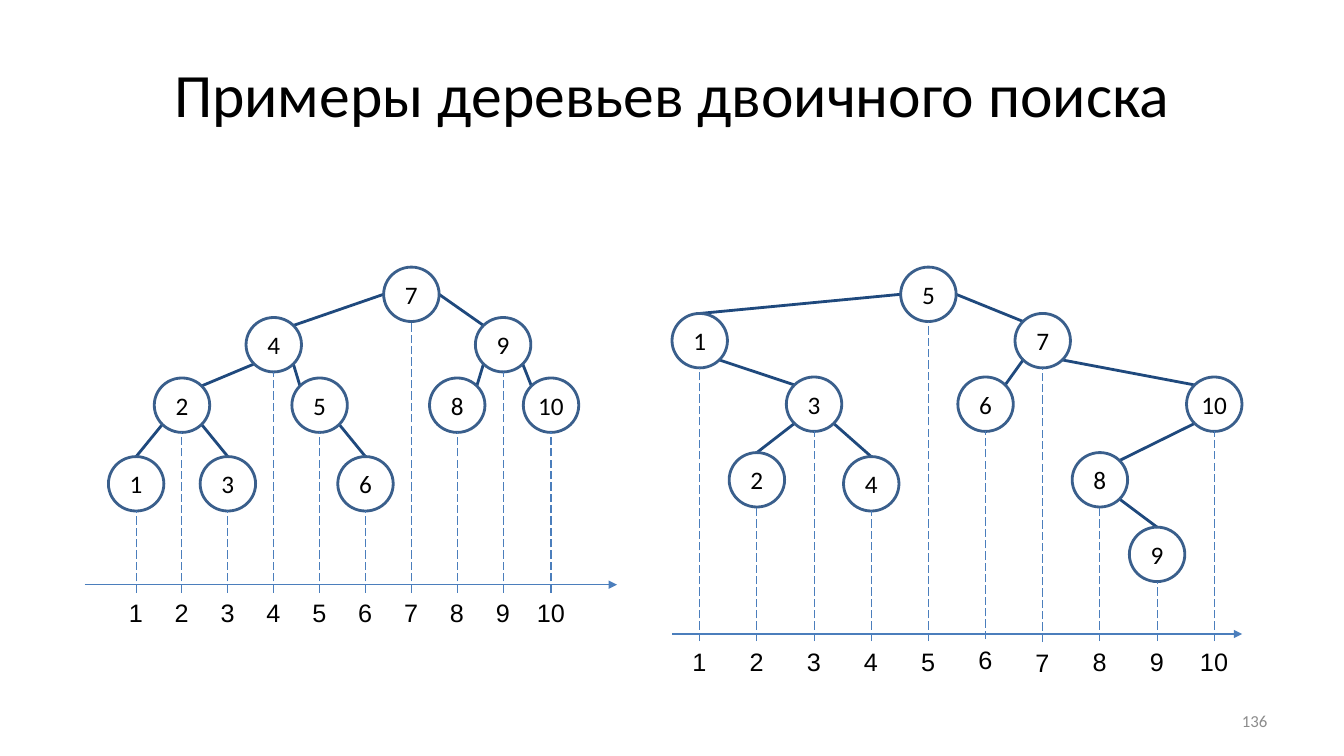
"""Build a slide with two binary search trees projected onto number axes."""
from dataclasses import dataclass
from typing import Optional

import lxml.etree
import pptx
import pptx.dml.color
import pptx.enum.dml
import pptx.enum.shapes
import pptx.enum.text
import pptx.oxml.ns
import pptx.util

Inches = pptx.util.Inches
Pt = pptx.util.Pt
RGB = pptx.dml.color.RGBColor
PP = pptx.enum.text.PP_ALIGN
ANCHOR = pptx.enum.text.MSO_ANCHOR
qn = pptx.oxml.ns.qn

BLACK = RGB(0x00, 0x00, 0x00)
GRAY = RGB(0x8C, 0x8C, 0x8C)
EDGE = RGB(0x1F, 0x49, 0x7D)
RING = RGB(0x3A, 0x5F, 0x8C)
AXIS = RGB(0x4B, 0x7E, 0xBC)
NODE_W, NODE_H = 0.55, 0.54
DIAGONAL = 0.5 ** 0.5


@dataclass
class Node:
    key: int
    top: float
    parent: Optional[int] = None
    join_top: bool = False
    dx: float = 0
    label_dy: float = 0


@dataclass
class Tree:
    first_x: float
    step: float
    axis: tuple[float, float, float]
    label_top: float
    nodes: list[Node]

    def center(self, node: Node) -> tuple[float, float]:
        return (self.first_x + self.step * (node.key - 1) + node.dx,
                node.top + NODE_H / 2)


TREES = [
    Tree(1.35, 0.455, (0.84, 6.12, 5.8), 5.88, [
        Node(1, 4.53, 2, True), Node(2, 3.75, 4), Node(3, 4.53, 2, True),
        Node(4, 3.15, 7), Node(5, 3.75, 4), Node(6, 4.53, 5, True),
        Node(7, 2.65), Node(8, 3.75, 9), Node(9, 3.15, 7),
        Node(10, 3.75, 9, dx=0.02)]),
    Tree(6.94, 0.567, (6.67, 12.32, 6.29), 6.36, [
        Node(1, 3.11, 5, True), Node(2, 4.49, 3, True), Node(3, 3.74, 1),
        Node(4, 4.53, 3, True), Node(5, 2.65), Node(6, 3.74, 7, label_dy=-0.02),
        Node(7, 3.11, 5, label_dy=0.01), Node(8, 4.49, 10),
        Node(9, 5.23, 8, True), Node(10, 3.74, 7)]),
]


def write(sp, text: str, *, size: float = 18, font: str = "Calibri",
          color=BLACK, align=PP.CENTER, anchor=ANCHOR.MIDDLE,
          wrap: bool = True) -> None:
    tf = sp.text_frame
    tf.word_wrap = wrap
    tf.vertical_anchor = anchor
    p = tf.paragraphs[0]
    p.alignment = align
    r = p.add_run()
    r.text = text
    r.font.size = Pt(size)
    r.font.name = font
    r.font.color.rgb = color


def add_box(shapes, x: float, y: float, w: float, h: float):
    return shapes.add_textbox(Inches(x), Inches(y), Inches(w), Inches(h))


def add_line(s, start: tuple[float, float], end: tuple[float, float],
             color, width: float, *, arrow: bool = False, dashed: bool = False):
    c = s.shapes.add_connector(
        pptx.enum.shapes.MSO_CONNECTOR.STRAIGHT,
        *(Inches(v) for v in (*start, *end)))
    c.line.color.rgb = color
    c.line.width = Pt(width)
    if dashed:
        c.line.dash_style = pptx.enum.dml.MSO_LINE.LONG_DASH
    if arrow:
        lxml.etree.SubElement(c.line._get_or_add_ln(), qn("a:tailEnd"),
                              type="triangle")
    lxml.etree.SubElement(c._element.spPr, qn("a:effectLst"))
    return c


def on_ring(center: tuple[float, float], ux: float,
            uy: float) -> tuple[float, float]:
    return center[0] + ux * NODE_W / 2, center[1] + uy * NODE_H / 2


def add_edge(s, tree: Tree, parent: Node, child: Node) -> None:
    side = 1 if child.key > parent.key else -1
    leave = (side, 0) if parent.parent is None else (side * DIAGONAL, DIAGONAL)
    enter = (0, -1) if child.join_top else (-side * DIAGONAL, -DIAGONAL)
    add_line(s, on_ring(tree.center(parent), *leave),
             on_ring(tree.center(child), *enter), EDGE, 2)


def add_node(s, tree: Tree, node: Node) -> None:
    x, y = tree.center(node)
    group = s.shapes.add_group_shape()
    ring = group.shapes.add_shape(
        pptx.enum.shapes.MSO_SHAPE.OVAL, Inches(x - NODE_W / 2),
        Inches(node.top), Inches(NODE_W), Inches(NODE_H))
    ring.shadow.inherit = False
    ring.fill.background()
    ring.line.color.rgb = RING
    ring.line.width = Pt(2)
    ring.text_frame.margin_left = ring.text_frame.margin_right = 0
    write(ring, str(node.key))

    width = 0.34 if node.key < 10 else 0.48
    label_y = tree.label_top + node.label_dy
    label = add_box(group.shapes, x - width / 2, label_y, width, 0.4)
    write(label, str(node.key), font="Arial", align=PP.LEFT,
          anchor=ANCHOR.TOP, wrap=False)
    label.text_frame.auto_size = pptx.enum.text.MSO_AUTO_SIZE.SHAPE_TO_FIT_TEXT

    drop = add_line(s, (x, label_y), on_ring((x, y), 0, 1), AXIS, 0.75,
                    dashed=True)
    drop.begin_connect(label, 0)


def add_tree(s, tree: Tree) -> None:
    by_key = {node.key: node for node in tree.nodes}
    for node in tree.nodes:
        if node.parent is not None:
            add_edge(s, tree, by_key[node.parent], node)
    left, right, y = tree.axis
    add_line(s, (left, y), (right, y), AXIS, 0.75, arrow=True)
    for node in tree.nodes:
        add_node(s, tree, node)


def main() -> None:
    prs = pptx.Presentation()
    prs.slide_width, prs.slide_height = Inches(13.33), Inches(7.5)
    s = prs.slides.add_slide(prs.slide_layouts[6])
    write(add_box(s.shapes, 0.67, 0.3, 12, 1.25),
          "Примеры деревьев двоичного поиска", size=44)
    for tree in TREES:
        add_tree(s, tree)
    write(add_box(s.shapes, 9.56, 6.95, 3.11, 0.4), "136", size=12,
          color=GRAY, align=PP.RIGHT)
    prs.save("out.pptx")


if __name__ == "__main__":
    main()
